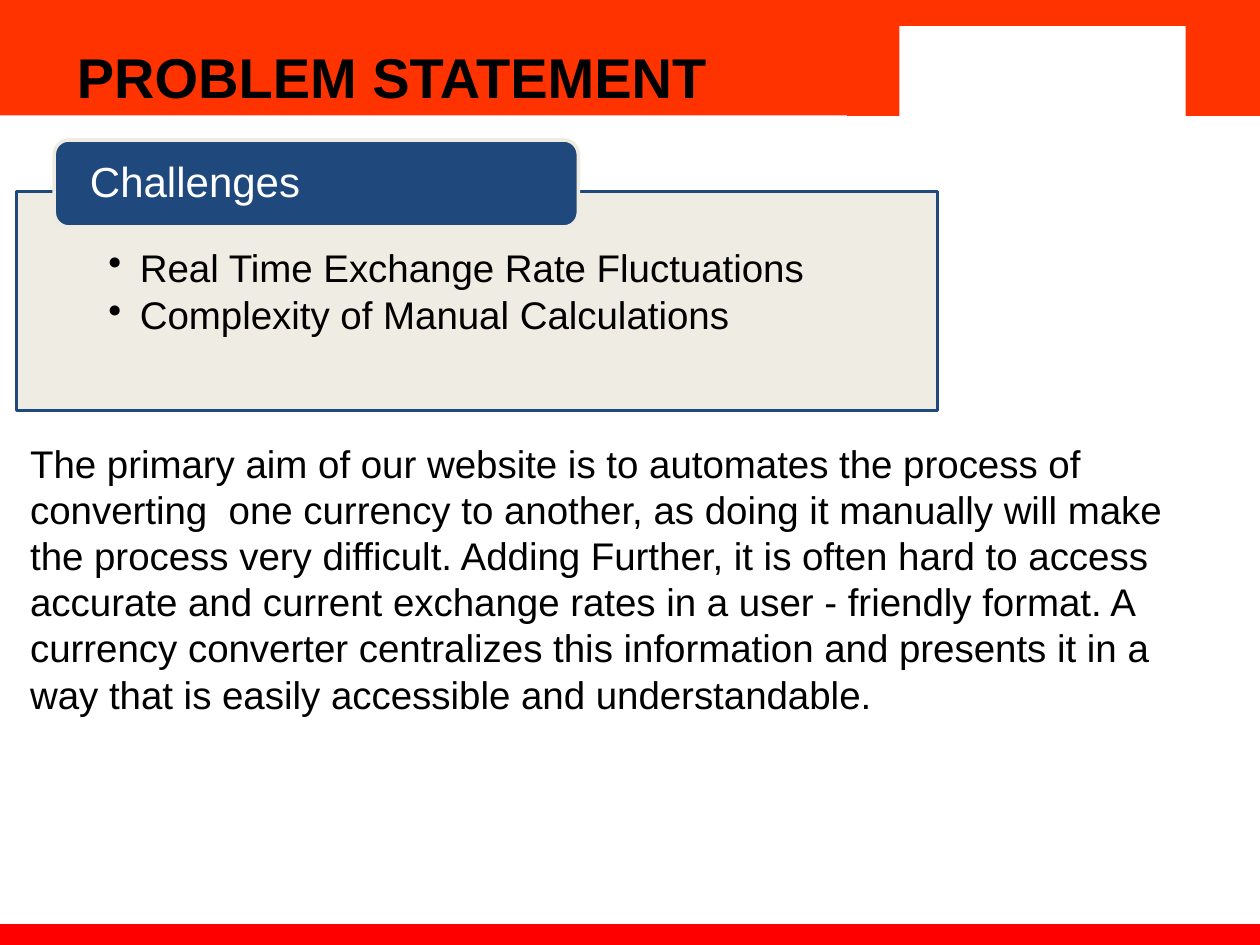
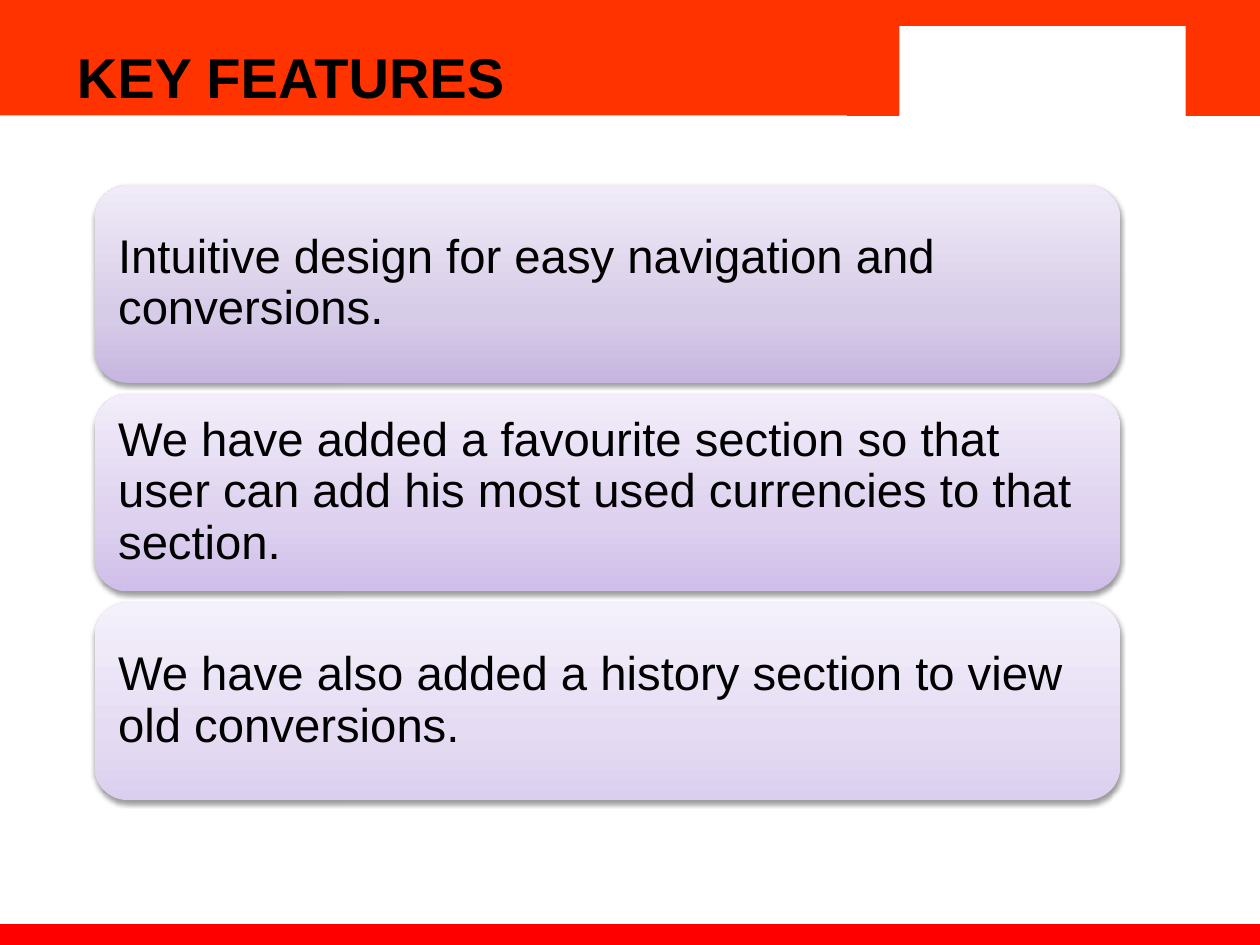
from dataclasses import dataclass
from lxml.etree import SubElement
from pptx import Presentation
from pptx.dml.color import RGBColor
from pptx.enum.shapes import MSO_SHAPE as Kind
from pptx.enum.text import MSO_ANCHOR as Anchor, MSO_AUTO_SIZE as Fit, PP_ALIGN as Align
from pptx.oxml import parse_xml
from pptx.oxml.ns import nsdecls, qn
from pptx.util import Pt


@dataclass(frozen=True)
class Theme:
    font: str = "Arial"
    ink: str = "000000"
    white: str = "FFFFFF"
    band: str = "FF3300"
    foot: str = "FF0000"
    navy: str = "1F497D"
    cream: str = "EEECE1"
    title: int = 32
    card: int = 27
    tab: int = 24
    body: int = 22


T = Theme()

PROBLEM = "PROBLEM STATEMENT"
TAB = "Challenges"
ISSUES = ["Real Time Exchange Rate Fluctuations", "Complexity of Manual Calculations"]
AIM = (
    "The primary aim of our website is to automates the process of converting  one "
    "currency to another, as doing it manually will make the process very difficult. "
    "Adding Further, it is often hard to access accurate and current exchange rates in "
    "a user - friendly format. A currency converter centralizes this information and "
    "presents it in a way that is easily accessible and understandable."
)
KEYS = "KEY FEATURES"
# text, then gradient colours from bottom to top
CARDS = [
    ("Intuitive design for easy navigation and conversions.",
     ("C6B6E0", "D7CCE8", "F0EBF7")),
    ("We have added a favourite section so that user can add his most used "
     "currencies to that section.",
     ("CFBEE9", "DDD1EF", "F2EDF9")),
    ("We have also added a history section to view old conversions.",
     ("DBCFEF", "E5DCF3", "F5F1FB")),
]
STOPS = (0, 35, 100)

# left, top, width, height
WIDE, HIGH = 720, 540
BANDS = [
    ((0, 0, WIDE, 66), T.band),
    ((0, 528, WIDE, HIGH - 528), T.foot),
    ((484, 0, WIDE - 484, 66.2), T.band),
    ((514, 15, 163.5, 54), T.white),
]
HEAD = (36.7, 20.9, 425.5, 46)
PANEL = (9.4, 109.4, 526.3, 125.3)
LABEL = (31, 80, 299.5, 49.7)
PROSE = (10, 247.7, 674, 216.7)
LEFT, TOP, CARD_W, CARD_H, GAP = 54, 105.8, 586, 113, 6.2


def place(shape, box):
    shape.left, shape.top, shape.width, shape.height = map(Pt, box)


def draw(slide, kind, box, fill=None, line=None):
    shape = slide.shapes.add_shape(kind, *map(Pt, box))
    shape.shadow.inherit = False
    if fill:
        shape.fill.solid()
        shape.fill.fore_color.rgb = RGBColor.from_string(fill)
    if line:
        shape.line.color.rgb = RGBColor.from_string(line)
        shape.line.width = Pt(2)
    else:
        shape.line.fill.background()
    return shape


def write(shape, lines, size, color=T.ink, bold=False, anchor=Anchor.TOP,
          pad=(7.2, 3.6, 7.2, 3.6), space=1.0, after=0, dot=False):
    frame = shape.text_frame
    frame.word_wrap = True
    frame.auto_size = Fit.NONE
    frame.vertical_anchor = anchor
    (frame.margin_left, frame.margin_top,
     frame.margin_right, frame.margin_bottom) = map(Pt, pad)
    for i, text in enumerate(lines):
        para = frame.add_paragraph() if i else frame.paragraphs[0]
        props = para._p.get_or_add_pPr()
        props.set("marL", str(Pt(18 if dot else 0)))
        props.set("indent", str(Pt(-18 if dot else 0)))
        if dot:
            SubElement(props, qn("a:buChar")).set("char", "•")
        else:
            SubElement(props, qn("a:buNone"))
        para.alignment = Align.LEFT
        para.line_spacing = space
        para.space_before = Pt(0)
        para.space_after = Pt(after)
        run = para.add_run()
        run.text = text
        run.font.name = T.font
        run.font.size = Pt(size)
        run.font.bold = bold
        run.font.color.rgb = RGBColor.from_string(color)


def shade(shape, colors):
    """Give a shape a bottom-to-top gradient and a soft shadow."""
    stops = "".join(
        f'<a:gs pos="{at * 1000}"><a:srgbClr val="{color}"/></a:gs>'
        for at, color in zip(STOPS, colors))
    props = shape._element.spPr
    props.find(qn("a:prstGeom")).addnext(parse_xml(
        f'<a:gradFill {nsdecls("a")} rotWithShape="1"><a:gsLst>{stops}</a:gsLst>'
        '<a:lin ang="16200000" scaled="0"/></a:gradFill>'))
    props.find(qn("a:effectLst")).append(parse_xml(
        f'<a:outerShdw {nsdecls("a")} blurRad="{Pt(3.1)}" dist="{Pt(1.6)}" '
        'dir="5400000" rotWithShape="0"><a:srgbClr val="000000">'
        '<a:alpha val="38000"/></a:srgbClr></a:outerShdw>'))


def start(deck, layout, title):
    """Add a slide with the shared bands and its title on top of them."""
    slide = deck.slides.add_slide(deck.slide_layouts[layout])
    for box, fill in BANDS:
        draw(slide, Kind.RECTANGLE, box, fill)
    head = slide.shapes.title
    head._element.getparent().append(head._element)
    place(head, HEAD)
    write(head, [title], T.title, bold=True)
    return slide


def problem(deck):
    slide = start(deck, 1, PROBLEM)
    panel = draw(slide, Kind.RECTANGLE, PANEL, T.cream, T.navy)
    tint = panel._element.spPr.find(qn("a:solidFill"))[0]
    SubElement(tint, qn("a:alpha")).set("val", "90000")
    write(panel, ISSUES, T.body, pad=(52.5, 33, 52.5, 12),
          space=0.9, after=3.3, dot=True)
    label = draw(slide, Kind.ROUNDED_RECTANGLE, LABEL, T.navy, T.cream)
    write(label, [TAB], T.tab, T.white, anchor=Anchor.MIDDLE,
          pad=(18, 0, 18, 0), space=0.9)
    prose = slide.placeholders[1]
    place(prose, PROSE)
    write(prose, [AIM], T.body)


def features(deck):
    slide = start(deck, 5, KEYS)
    for i, (text, colors) in enumerate(CARDS):
        box = (LEFT, TOP + i * (CARD_H + GAP), CARD_W, CARD_H)
        card = draw(slide, Kind.ROUNDED_RECTANGLE, box)
        shade(card, colors)
        write(card, [text], T.card, anchor=Anchor.MIDDLE, pad=(8,) * 4, space=0.9)


def main():
    deck = Presentation()
    deck.slide_width, deck.slide_height = Pt(WIDE), Pt(HIGH)
    problem(deck)
    features(deck)
    deck.save("out.pptx")


if __name__ == "__main__":
    main()
